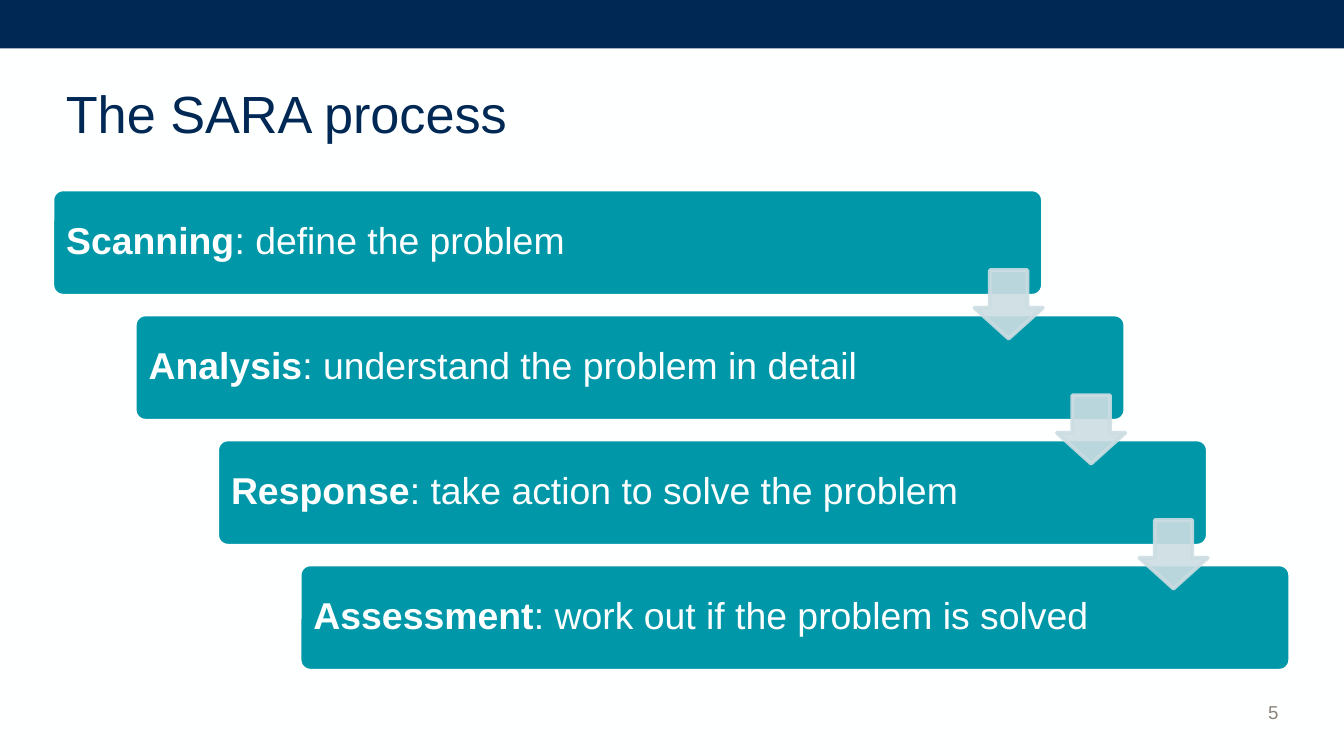
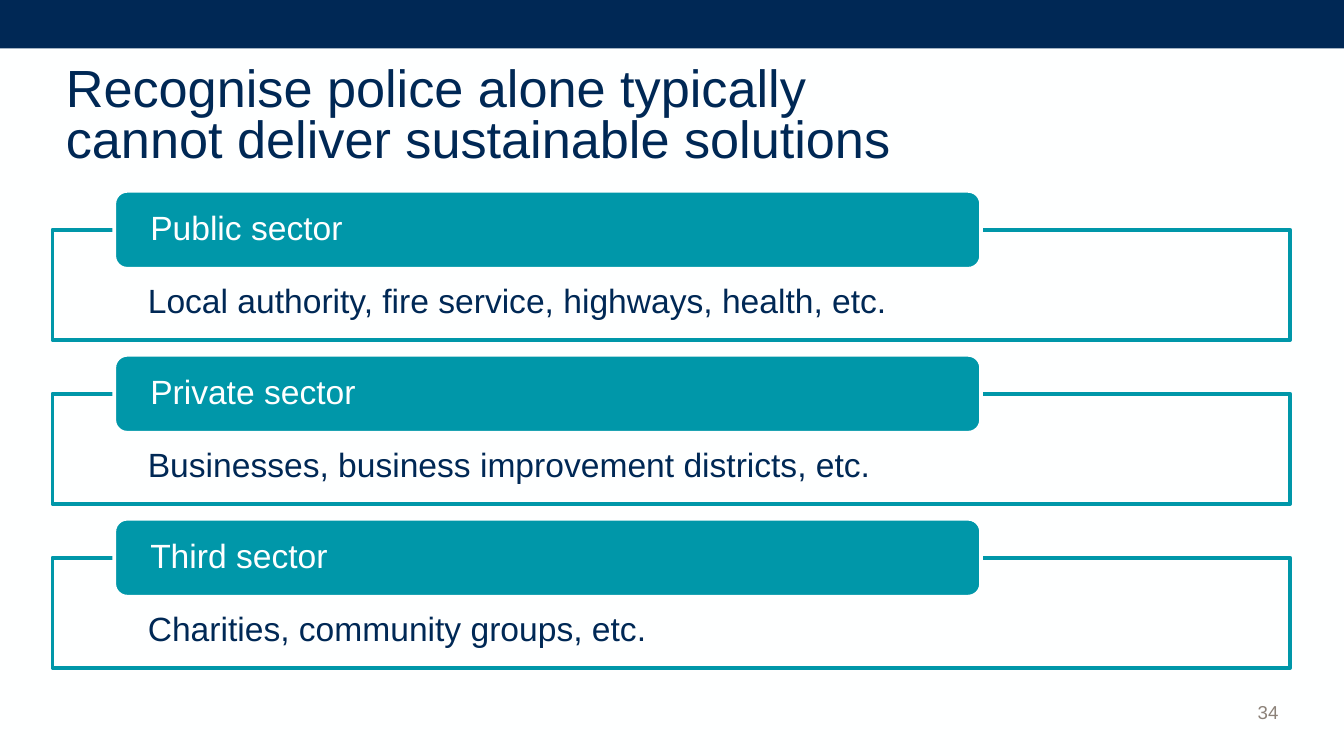
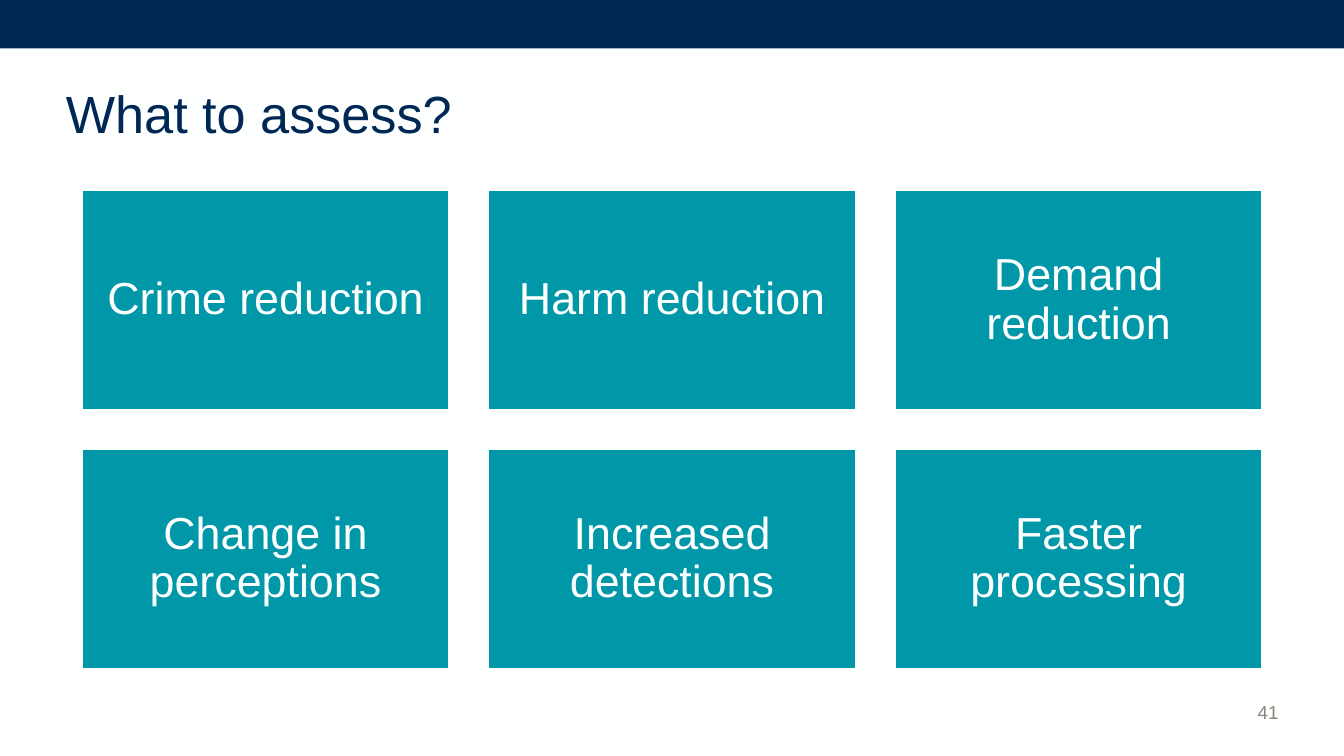
"""Build three slides on the SARA process, partner sectors and assessment."""
from typing import NamedTuple

from lxml import etree
from pptx import Presentation
from pptx.dml.color import RGBColor
from pptx.enum.shapes import MSO_SHAPE
from pptx.enum.text import MSO_ANCHOR, MSO_AUTO_SIZE, PP_ALIGN
from pptx.oxml.ns import qn
from pptx.util import Emu, Pt

RECT, ROUND, DOWN = MSO_SHAPE.RECTANGLE, MSO_SHAPE.ROUNDED_RECTANGLE, MSO_SHAPE.DOWN_ARROW
TOP, MID, LOW = MSO_ANCHOR.TOP, MSO_ANCHOR.MIDDLE, MSO_ANCHOR.BOTTOM
LEFT, MIDDLE, RIGHT = PP_ALIGN.LEFT, PP_ALIGN.CENTER, PP_ALIGN.RIGHT
NO_FIT = MSO_AUTO_SIZE.NONE

NAVY = RGBColor(0x00, 0x28, 0x55)
TEAL = RGBColor(0x00, 0x97, 0xA9)
WHITE = RGBColor(0xFE, 0xFF, 0xFF)
MIST = RGBColor(0xCC, 0xDD, 0xE2)
GREY = RGBColor(0x8C, 0x82, 0x79)

FONT = "Arial"
WIDE, HIGH = Emu(9144000), Emu(5143500)
CELL = WIDE // 100
EDGE, SPAN, START = 3.9, 92.1, 14.1


class Box(NamedTuple):
    """A place in grid cells, each a hundredth of the slide's width."""
    x: float
    y: float
    w: float
    h: float


class Style(NamedTuple):
    """How a text looks and sits, with insets in grid cells."""
    size: int
    color: RGBColor = WHITE
    align: PP_ALIGN = LEFT
    anchor: MSO_ANCHOR = MID
    side: float = 1
    top: float = 0.5
    lead: float | Pt = 0.9


class Look(NamedTuple):
    """Fill, line and opacity in percent of a shape."""
    fill: RGBColor
    line: RGBColor | None = None
    solid: int = 100
    edge: int = 100


HEAD = Style(28, NAVY, lead=Pt(27))
PAGE = Style(10, GREY, RIGHT, LOW, lead=1.0)
STEP = Style(20, side=0.8, top=0.8)
LABEL = Style(18, side=2.4, top=0)
BODY = Style(18, NAVY, anchor=TOP, side=7.1, top=4.1)
TILE = Style(24, align=MIDDLE, top=1)

BAND = Look(NAVY)
PANEL = Look(TEAL, WHITE)
FRAME = Look(WHITE, TEAL, 90)
ARROW = Look(MIST, MIST, 90, 90)

STEPS = (
    ("Scanning", ": define the problem"),
    ("Analysis", ": understand the problem in detail"),
    ("Response", ": take action to solve the problem"),
    ("Assessment", ": work out if the problem is solved"),
)
SECTORS = (
    ("Public sector", "Local authority, fire service, highways, health, etc."),
    ("Private sector", "Businesses, business improvement districts, etc."),
    ("Third sector", "Charities, community groups, etc."),
)
GOALS = (
    ("Crime reduction", "Harm reduction", "Demand reduction"),
    ("Change in perceptions", "Increased detections", "Faster processing"),
)


def scale(box: Box) -> list[Emu]:
    """Turn grid cells into slide lengths."""
    return [Emu(round(n * CELL)) for n in box]


def fade(color, solid: int) -> None:
    """Set the opacity of a solid colour element."""
    if solid < 100:
        etree.SubElement(color, qn("a:alpha"), val=str(solid * 1000))


def write(shape, style: Style, text: str, bold: str = "") -> None:
    """Fill a shape with one styled paragraph, its lead-in in bold."""
    frame = shape.text_frame
    frame.word_wrap, frame.auto_size = True, NO_FIT
    frame.vertical_anchor = style.anchor
    frame.margin_left = frame.margin_right = Emu(round(style.side * CELL))
    frame.margin_top = Emu(round(style.top * CELL))
    frame.margin_bottom = Emu(round(min(style.top, 1.4) * CELL))
    para = frame.paragraphs[0]
    if bold:
        run = para.add_run()
        run.text, run.font.bold = bold, True
        para.add_run().text = text
    else:
        para.text = text
    para.alignment, para.line_spacing = style.align, style.lead
    font = para.font
    font.name, font.size = FONT, Pt(style.size)
    font.color.rgb = style.color


def draw(slide, kind: MSO_SHAPE, box: Box, look: Look, *rates: float):
    """Add a preset shape with its look and adjustments."""
    shape = slide.shapes.add_shape(kind, *scale(box))
    shape.shadow.inherit = False
    shape.fill.solid()
    shape.fill.fore_color.rgb = look.fill
    if look.line is None:
        shape.line.fill.background()
    else:
        shape.line.color.rgb = look.line
        shape.line.width = Pt(2)
    props = shape.element.spPr
    fade(props.find(f"{qn('a:solidFill')}/{qn('a:srgbClr')}"), look.solid)
    if look.line is not None:
        fade(props.find(f"{qn('a:ln')}/{qn('a:solidFill')}/{qn('a:srgbClr')}"), look.edge)
    for i, rate in enumerate(rates):
        shape.adjustments[i] = rate
    return shape


def start(deck, title: str, page: int):
    """Add a slide with the band, page number and title."""
    slide = deck.slides.add_slide(deck.slide_layouts[5])
    back = slide.background.fill
    back.solid()
    back.fore_color.rgb = WHITE
    draw(slide, RECT, Box(0, 0, 100, 3.6), BAND)
    write(slide.shapes.add_textbox(*scale(Box(88.2, 49.9, 7.9, 4.4))), PAGE, str(page))
    head = slide.shapes.title
    head.left, head.top, head.width, head.height = scale(Box(EDGE, EDGE, SPAN, 9.8))
    write(head, HEAD, title)
    return slide


def stairs(slide) -> None:
    """Draw the steps as a staircase joined by arrows."""
    wide, high, tip = 73.7, 7.9, 5.1
    shift = (SPAN - wide) / (len(STEPS) - 1)
    bars = [Box(EDGE + shift * i, START + 9.3 * i, wide, high) for i in range(len(STEPS))]
    for bar, (name, task) in zip(bars, STEPS):
        write(draw(slide, ROUND, bar, PANEL, 0.1), STEP, task, name)
    for bar in bars[:-1]:
        place = Box(bar.x + wide - tip, bar.y + 6, tip, tip)
        draw(slide, DOWN, place, ARROW, 0.55, 0.45)


def frames(slide) -> None:
    """Draw each sector as a label over a framed list."""
    for i, (name, members) in enumerate(SECTORS):
        y = 14.2 + 12.2 * i
        write(draw(slide, RECT, Box(EDGE, y + 2.9, SPAN, 8.2), FRAME), BODY, members)
        write(draw(slide, ROUND, Box(8.5, y, 64.5, 5.8), PANEL), LABEL, name)


def tiles(slide) -> None:
    """Draw the goals as a grid of tiles."""
    wide, high, gap = 27.5, 16.5, 2.75
    for row, names in enumerate(GOALS):
        for col, name in enumerate(names):
            place = Box(6 + col * (wide + gap), START + row * (high + gap), wide, high)
            write(draw(slide, RECT, place, PANEL), TILE, name)


def main() -> None:
    """Build and save the deck."""
    deck = Presentation()
    deck.slide_width, deck.slide_height = WIDE, HIGH
    stairs(start(deck, "The SARA process", 5))
    frames(start(deck, "Recognise police alone typically\vcannot deliver sustainable solutions", 34))
    tiles(start(deck, "What to assess?", 41))
    deck.save("out.pptx")


if __name__ == "__main__":
    main()
